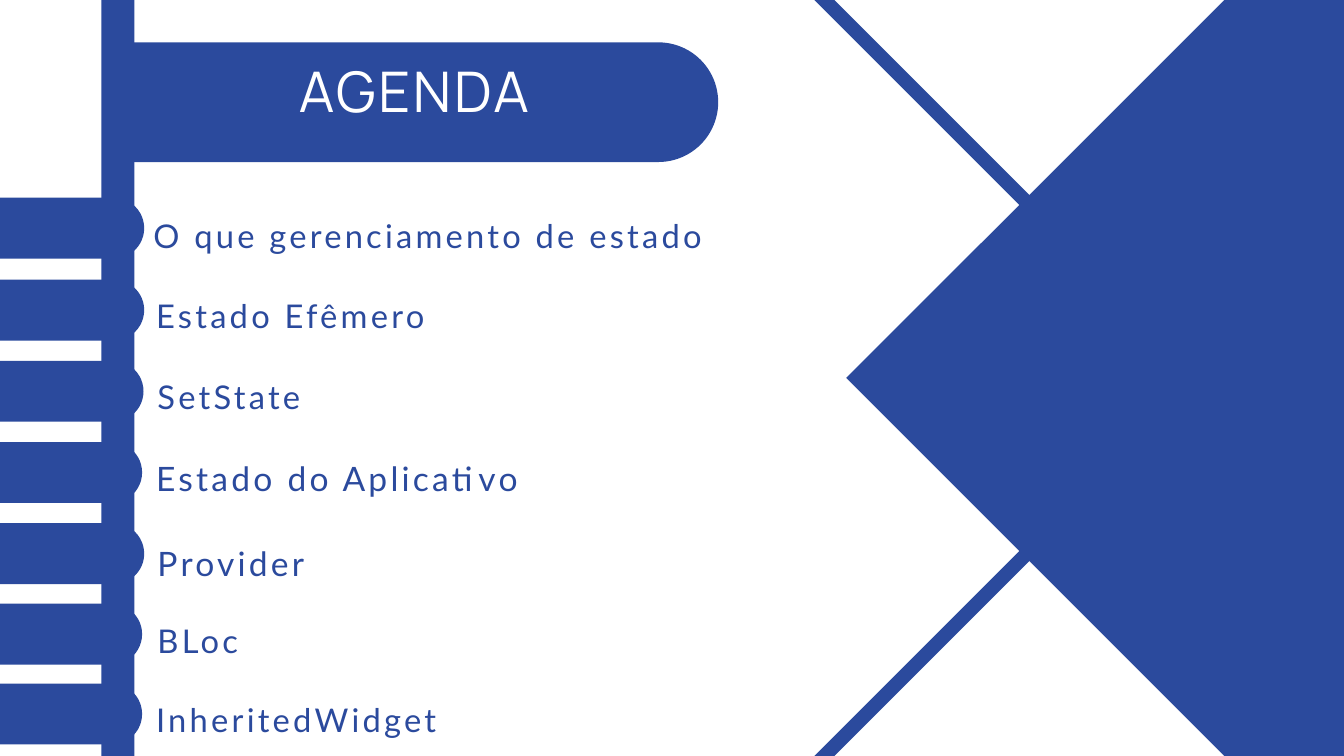
import dataclasses

import pptx
import pptx.dml.color
import pptx.enum.shapes
import pptx.enum.text
import pptx.shapes.autoshape
import pptx.slide
import pptx.util

PX = 9525  # EMU in one px, for a 1920 x 1080 page
BLUE = "2B4A9D"
WHITE = "FFFFFF"
SHAPE = pptx.enum.shapes.MSO_SHAPE
ALIGN = pptx.enum.text.PP_ALIGN


@dataclasses.dataclass
class Square:
    """A square standing on its corner; a border makes it a hollow frame."""
    center_x: int
    center_y: int
    side: int
    color: str
    border: int = 0


@dataclasses.dataclass
class Label:
    text: str
    left: int
    top: int
    width: int
    height: int
    size: int = 35
    font: str = "Lato"
    color: str = BLUE
    spacing: float = 3.5
    line: int = 49
    align: ALIGN = ALIGN.LEFT


@dataclasses.dataclass
class Item:
    tip: int
    middle: int
    label: Label


SQUARES = [
    Square(1927, 540, 1068, BLUE),
    Square(1862, 540, 986, WHITE, 31),
    Square(1533, 1168, 647, BLUE, 20),
    Square(1533, -88, 647, BLUE, 20),
]

TITLE = Label("AGENDA", 223, 92, 737, 94, 60, "Manrope", WHITE, 3, 63, ALIGN.CENTER)

TAB_LENGTH, TAB_HEIGHT = 206, 87
ITEMS = [
    Item(206, 326, Label("O que gerenciamento de estado", 219, 299, 899, 66)),
    Item(206, 443, Label("Estado Efêmero", 223, 413, 1049, 60)),
    Item(205, 559, Label("SetState", 225, 529, 771, 60)),
    Item(203, 675, Label("Estado do Aplicativo", 223, 647, 771, 60, 36)),
    Item(206, 791, Label("Provider", 225, 768, 771, 66, 36)),
    Item(203, 906, Label("BLoc", 225, 877, 771, 60)),
    Item(203, 1020, Label("InheritedWidget", 223, 991, 1097, 60)),
]


def rgb(color: str) -> pptx.dml.color.RGBColor:
    return pptx.dml.color.RGBColor.from_string(color)


def add_centered(page: pptx.slide.Slide, kind: SHAPE, center_x: float, center_y: float,
                 width: int, height: int, color: str,
                 rotation: int = 0) -> pptx.shapes.autoshape.Shape:
    box = page.shapes.add_shape(
        kind, round((center_x - width / 2) * PX), round((center_y - height / 2) * PX),
        width * PX, height * PX)
    box.rotation = rotation
    box.shadow.inherit = False
    box.fill.solid()
    box.fill.fore_color.rgb = rgb(color)
    box.line.fill.background()
    return box


def add_square(page: pptx.slide.Slide, square: Square) -> None:
    kind = SHAPE.FRAME if square.border else SHAPE.RECTANGLE
    box = add_centered(page, kind, square.center_x, square.center_y,
                       square.side, square.side, square.color, 45)
    if square.border:
        box.adjustments[0] = square.border / square.side


def add_tab(page: pptx.slide.Slide, tip: int, middle: int, length: int, height: int) -> None:
    """A bar with a round right end: a round-topped rectangle turned on its side."""
    box = add_centered(page, SHAPE.ROUND_2_SAME_RECTANGLE, tip - length / 2, middle,
                       height, length, BLUE, 90)
    box.adjustments[0] = 0.5


def add_label(page: pptx.slide.Slide, label: Label) -> None:
    box = page.shapes.add_textbox(label.left * PX, label.top * PX,
                                  label.width * PX, label.height * PX)
    frame = box.text_frame
    frame.word_wrap = True
    frame.auto_size = pptx.enum.text.MSO_AUTO_SIZE.SHAPE_TO_FIT_TEXT
    frame.margin_left = frame.margin_right = frame.margin_top = frame.margin_bottom = 0
    frame.text = label.text
    para = frame.paragraphs[0]
    para.alignment = label.align
    para.line_spacing = pptx.util.Pt(label.line)
    span = para.runs[0]
    span.font.size = pptx.util.Pt(label.size)
    span.font.name = label.font
    span.font.color.rgb = rgb(label.color)
    span._r.get_or_add_rPr().set("spc", str(round(label.spacing * 100)))


def main() -> None:
    deck = pptx.Presentation()
    deck.slide_width, deck.slide_height = 1920 * PX, 1080 * PX
    page = deck.slides.add_slide(deck.slide_layouts[6])

    # Vertical spine
    add_centered(page, SHAPE.RECTANGLE, 168.5, 540, 47, 1080, BLUE)

    # Large square and diagonal bands on the right
    for square in SQUARES:
        add_square(page, square)

    # Title banner
    add_tab(page, 1026, 146, 835, 171)
    add_label(page, TITLE)

    # Agenda items
    for item in ITEMS:
        add_tab(page, item.tip, item.middle, TAB_LENGTH, TAB_HEIGHT)
        add_label(page, item.label)

    deck.save("out.pptx")


if __name__ == "__main__":
    main()
